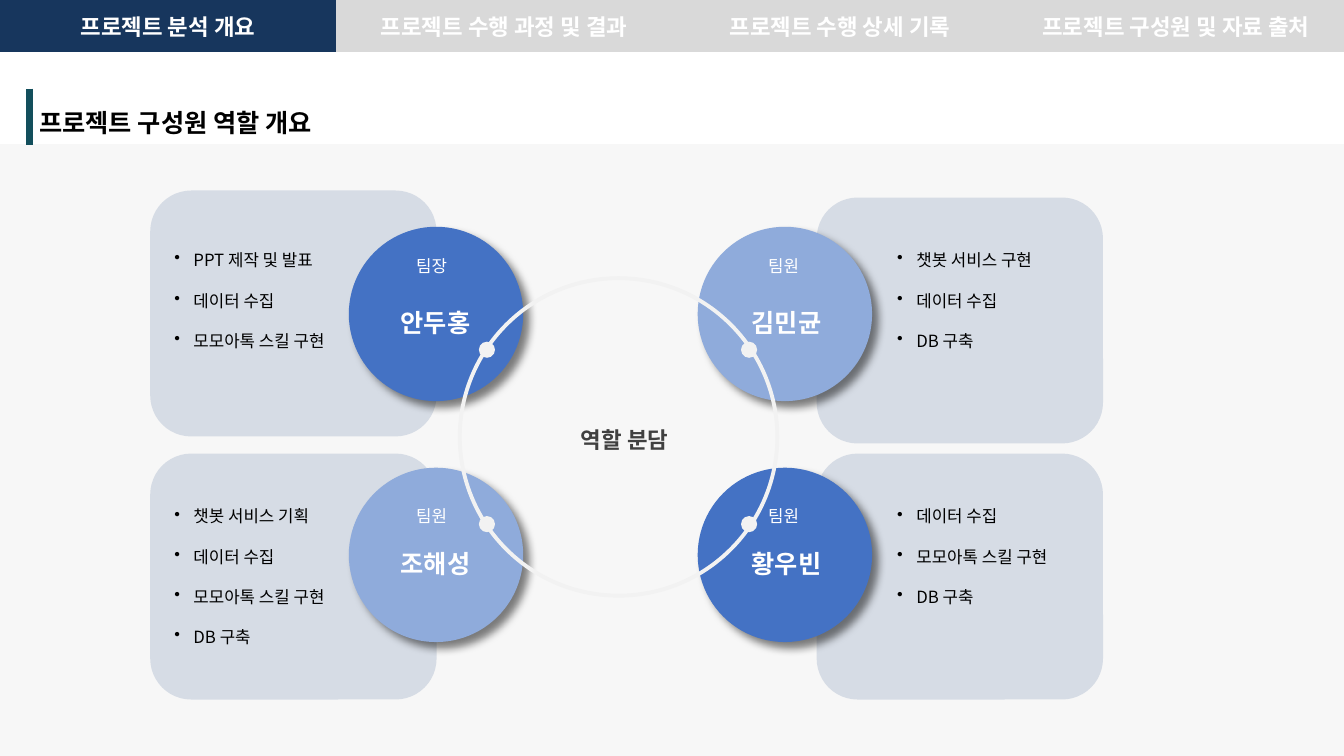
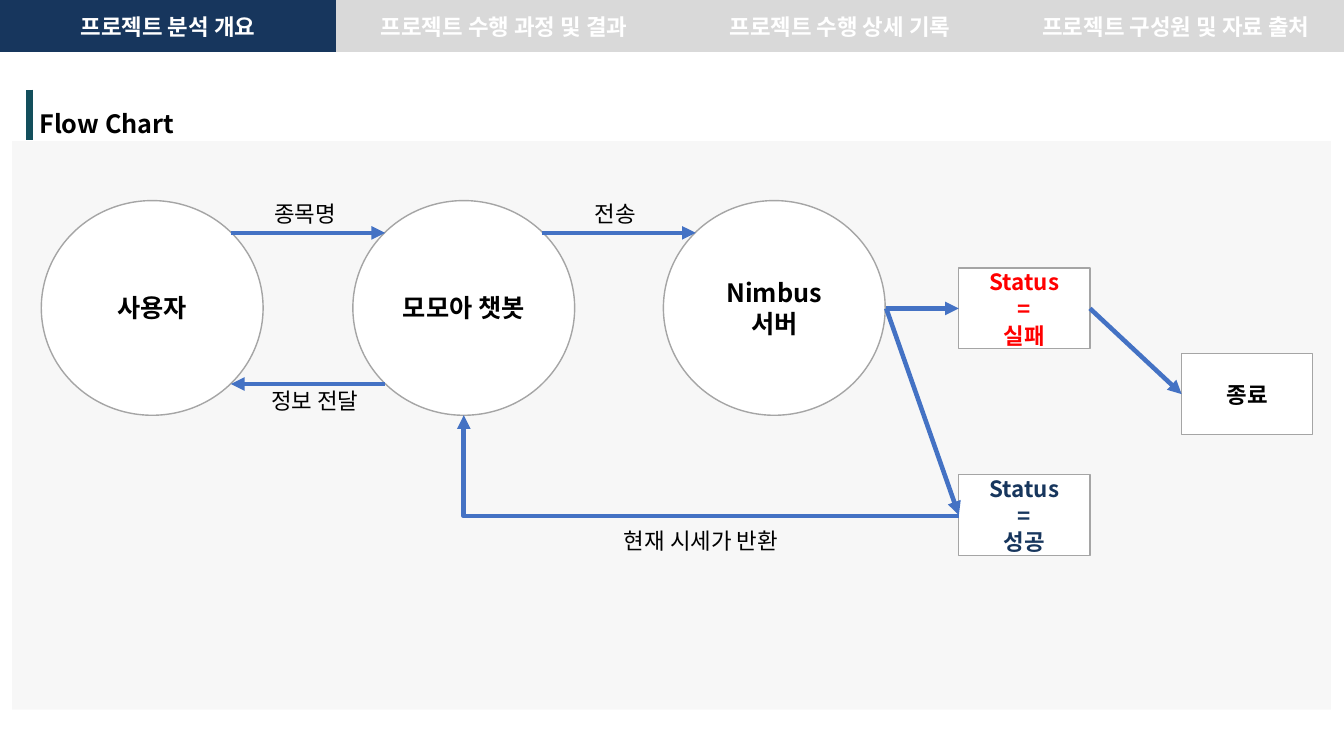
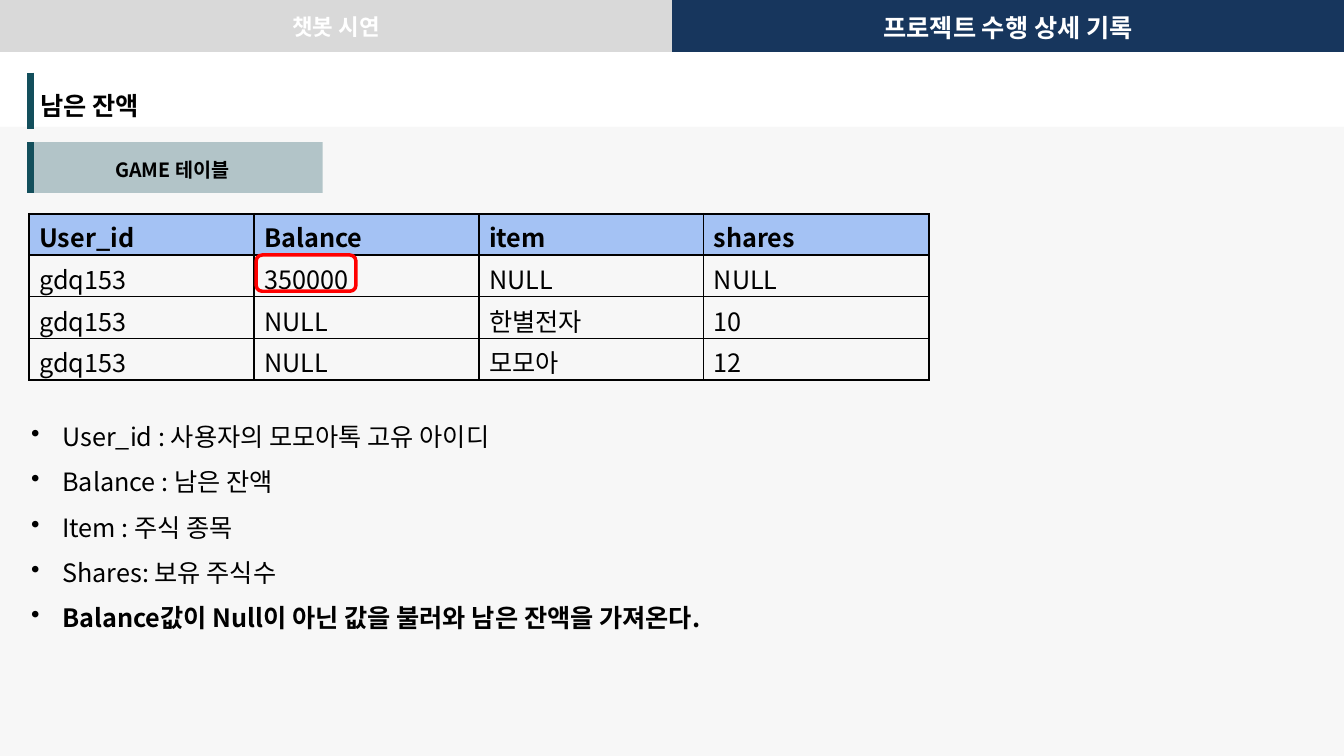
from lxml import etree
from pptx import Presentation
from pptx.dml.color import RGBColor
from pptx.enum.shapes import MSO_CONNECTOR, MSO_SHAPE
from pptx.enum.text import MSO_ANCHOR, PP_ALIGN
from pptx.oxml.ns import qn
from pptx.util import Inches, Pt

RECT, ROUND, OVAL = MSO_SHAPE.RECTANGLE, MSO_SHAPE.ROUNDED_RECTANGLE, MSO_SHAPE.OVAL
STRAIGHT, ELBOW = MSO_CONNECTOR.STRAIGHT, MSO_CONNECTOR.ELBOW
LEFT, CENTER = PP_ALIGN.LEFT, PP_ALIGN.CENTER
TOP, MIDDLE = MSO_ANCHOR.TOP, MSO_ANCHOR.MIDDLE

COLORS = {
    "navy": "17365D", "tab": "D9D9D9", "teal": "134F5C", "panel": "F2F2F2",
    "card": "D6DCE5", "blue": "4472C4", "light_blue": "8FABDB", "header": "A4C2F4",
    "outline": "A5A5A5", "dark": "404040", "red": "FF0000", "black": "000000",
    "white": "FFFFFF",
}
FONT, TAB_FONT = "Noto Sans CJK KR", "Calibri"
NO_GRID = "{2D5ABB26-0587-4C30-8999-92F81FD0307C}"
RGB = {name: RGBColor.from_string(value) for name, value in COLORS.items()}


def write_text(frame, lines, color="black", align=LEFT, spacing=None, indent=0, **font):
    """Fill a text frame; indent (inches) turns the lines into bullets."""
    frame.word_wrap = True
    for i, line in enumerate(lines):
        paragraph = frame.paragraphs[0] if i == 0 else frame.add_paragraph()
        if indent:
            props = paragraph._p.get_or_add_pPr()
            props.set("marL", str(Inches(indent)))
            props.set("indent", str(-Inches(indent)))
            etree.SubElement(props, qn("a:buChar"), char="•")
        paragraph.alignment = align
        if spacing:
            paragraph.line_spacing = spacing
        run = paragraph.add_run()
        run.text = line
        for key, value in {"name": FONT, "bold": False, **font}.items():
            setattr(run.font, key, value)
        run.font.color.rgb = RGB[color]
        latin = run._r.rPr.find(qn("a:latin"))
        latin.addnext(etree.Element(qn("a:ea"), typeface=FONT))


def add_box(slide, kind, at, fill=None, alpha=None, line=None, width=1):
    """Add a flat preset shape at (left, top, width, height) in inches."""
    box = slide.shapes.add_shape(kind, *map(Inches, at))
    box.shadow.inherit = False
    if fill:
        box.fill.solid()
        box.fill.fore_color.rgb = RGB[fill]
    else:
        box.fill.background()
    if alpha:
        color = next(box._element.spPr.iter(qn("a:srgbClr")))
        etree.SubElement(color, qn("a:alpha"), val=str(alpha * 1000))
    if line:
        box.line.color.rgb = RGB[line]
        box.line.width = Pt(width)
    else:
        box.line.fill.background()
    return box


prs = Presentation()
prs.slide_width, prs.slide_height = Inches(13.33), Inches(7.5)

# Shared frame: panel and navigation tabs
MAIN_TABS = ["프로젝트 분석 개요", "프로젝트 수행 과정 및 결과",
             "프로젝트 수행 상세 기록", "프로젝트 구성원 및 자료 출처"]
DETAIL_TABS = ["챗봇 시연", "프로젝트 수행 상세 기록"]
# panel, tabs, active tab, active size
FRAMES = [
    ((0, 1.43, 13.33, 6.07), MAIN_TABS, 0, 16),
    ((0.12, 1.4, 13.08, 5.64), MAIN_TABS, 0, 16),
    ((0, 1.26, 13.33, 6.24), DETAIL_TABS, 1, 18),
]
slides = []
for panel, tabs, active, active_size in FRAMES:
    slide = prs.slides.add_slide(prs.slide_layouts[6])
    slides.append(slide)
    add_box(slide, RECT, panel, "panel", alpha=59)
    tab_frame = slide.shapes.add_table(1, len(tabs), 0, 0, prs.slide_width, Inches(0.52))
    next(tab_frame._element.iter(qn("a:tableStyleId"))).text = NO_GRID
    for i, tab in enumerate(tabs):
        cell = tab_frame.table.cell(0, i)
        for side in ("left", "top", "right", "bottom"):
            setattr(cell, f"margin_{side}", Inches(0.04))
        cell.vertical_anchor = MIDDLE
        cell.fill.solid()
        cell.fill.fore_color.rgb = RGB["navy" if i == active else "tab"]
        write_text(cell.text_frame, [tab], "white", CENTER, name=TAB_FONT,
                   size=Pt(active_size if i == active else 16), bold=True)

roles_slide, flow_slide, balance_slide = slides

# Headings: one-cell tables with a heavy teal left border
# slide, text, left, top, width, height, size, alignment, tint, margins (l, t, r, b)
TITLE_MARGINS = (0.1, 0.14, 0.1, 0.05)
HEADINGS = [
    (roles_slide, "프로젝트 구성원 역할 개요", 0.29, 0.88, 5.48, 0.56, 18, LEFT, None, TITLE_MARGINS),
    (flow_slide, "Flow Chart", 0.29, 0.89, 5.48, 0.5, 18, LEFT, None, TITLE_MARGINS),
    (balance_slide, "남은 잔액", 0.3, 0.72, 5.48, 0.56, 18, LEFT, None, TITLE_MARGINS),
    (balance_slide, "GAME 테이블", 0.3, 1.41, 2.9, 0.48, 14, CENTER, 30, (0.1, 0.12, 0.18, 0.1)),
]
for slide, text, left, top, width, height, size, align, tint, margins in HEADINGS:
    heading = slide.shapes.add_table(1, 1, *map(Inches, (left, top, width, height)))
    next(heading._element.iter(qn("a:tableStyleId"))).text = NO_GRID
    cell = heading.table.cell(0, 0)
    for side, margin in zip(("left", "top", "right", "bottom"), margins):
        setattr(cell, f"margin_{side}", Inches(margin))
    cell.vertical_anchor = TOP
    cell_props = cell._tc.get_or_add_tcPr()
    if tint:
        cell.fill.solid()
        cell.fill.fore_color.rgb = RGB["teal"]
        tint_color = next(cell_props.iter(qn("a:srgbClr")))
        etree.SubElement(tint_color, qn("a:alpha"), val=str(tint * 1000))
    else:
        cell.fill.background()
    bar = etree.Element(qn("a:lnL"), w=str(Pt(6)))
    bar_fill = etree.SubElement(bar, qn("a:solidFill"))
    etree.SubElement(bar_fill, qn("a:srgbClr"), val=COLORS["teal"])
    cell_props.insert(0, bar)
    write_text(cell.text_frame, [text], align=align, size=Pt(size), bold=True)

# Slide 1: members around the ring
# name, role, circle colour, column, row, card top, tasks
MEMBERS = [
    ("안두홍", "팀장", "blue", 0, 0, 1.89, ["PPT 제작 및 발표", "데이터 수집", "모모아톡 스킬 구현"]),
    ("김민균", "팀원", "light_blue", 1, 0, 1.96, ["챗봇 서비스 구현", "데이터 수집", "DB 구축"]),
    ("조해성", "팀원", "light_blue", 0, 1, 4.5,
     ["챗봇 서비스 기획", "데이터 수집", "모모아톡 스킬 구현", "DB 구축"]),
    ("황우빈", "팀원", "blue", 1, 1, 4.5, ["데이터 수집", "모모아톡 스킬 구현", "DB 구축"]),
]
for name, role, color, col, row, card_top, tasks in MEMBERS:
    add_box(roles_slide, ROUND, ((1.49, 8.1)[col], card_top, 2.84, 2.44), "card")
for name, role, color, col, row, card_top, tasks in MEMBERS:
    circle = add_box(roles_slide, OVAL, (3.46 + 3.46 * col, 2.25 + 2.39 * row, 1.73, 1.73), color)
    effects = circle._element.spPr.find(qn("a:effectLst"))
    shadow = etree.SubElement(effects, qn("a:outerShdw"), blurRad=str(Pt(6)), dist=str(Pt(6)),
                              dir=str(45 * 60000), algn="tl", rotWithShape="0")
    shade = etree.SubElement(shadow, qn("a:srgbClr"), val=COLORS["black"])
    etree.SubElement(shade, qn("a:alpha"), val="50000")

add_box(roles_slide, OVAL, (4.56, 2.76, 3.15, 3.15), line="panel", width=2.75)
for name, role, color, col, row, card_top, tasks in MEMBERS:
    add_box(roles_slide, OVAL, (4.75 + 2.6 * col, 3.39 + 1.73 * row, 0.16, 0.16), "panel")
    # left, top, width, height, lines, format
    member_texts = [
        (3.84 + 3.48 * col, 2.87 + 2.39 * row, 0.96, 0.5, [name],
         {"color": "white", "align": CENTER, "spacing": 1.5, "size": Pt(18), "bold": True}),
        (4.03 + 3.49 * col, 2.49 + 2.48 * row, 0.75, 0.3, [role],
         {"color": "white", "size": Pt(12)}),
        ((1.63, 8.8)[col], 2.23 + 2.54 * row, 1.89, 0.38 + 0.4 * len(tasks), tasks,
         {"size": Pt(12), "spacing": 2.0, "indent": 0.19}),
    ]
    for *at, lines, style in member_texts:
        member_box = roles_slide.shapes.add_textbox(*map(Inches, at))
        member_box.text_frame.vertical_anchor = MIDDLE if lines == [name] else TOP
        write_text(member_box.text_frame, lines, **style)

center_label = roles_slide.shapes.add_textbox(*map(Inches, (5.6, 4.04, 1.19, 0.5)))
center_label.text_frame.vertical_anchor = MIDDLE
write_text(center_label.text_frame, ["역할 분담"], "dark", CENTER, 1.5, size=Pt(16), bold=True)

# Slide 2: flow nodes
# key, shape, left, top, width, height, lines, colour, size
NODES = [
    ("user", OVAL, 0.41, 1.99, 2.2, 2.13, ["사용자"], "black", 18),
    ("chatbot", OVAL, 3.5, 1.99, 2.2, 2.13, ["모모아 챗봇"], "black", 18),
    ("server", OVAL, 6.58, 1.99, 2.2, 2.13, ["Nimbus", "서버"], "black", 18),
    ("success", RECT, 9.51, 4.71, 1.3, 0.8, ["Status", "=", "성공"], "navy", 16),
    ("failure", RECT, 9.51, 2.66, 1.3, 0.8, ["Status", "=", "실패"], "red", 16),
    ("end", RECT, 11.72, 3.51, 1.3, 0.8, ["종료"], "black", 16),
]
nodes = {}
for key, kind, left, top, width, height, lines, color, size in NODES:
    node = add_box(flow_slide, kind, (left, top, width, height), "white", line="outline")
    node.text_frame.margin_top = node.text_frame.margin_bottom = 0
    node.text_frame.vertical_anchor = MIDDLE
    write_text(node.text_frame, lines, color, CENTER, size=Pt(size), bold=True)
    nodes[key] = node

# Arrows: kind, start, end, rectangle side joined at start, at end
ARROWS = [
    (STRAIGHT, (2.29, 2.31), (3.82, 2.31), None, None),
    (STRAIGHT, (5.38, 2.31), (6.9, 2.31), None, None),
    (STRAIGHT, (3.82, 3.81), (2.29, 3.81), None, None),
    (STRAIGHT, (8.79, 3.06), (9.51, 3.06), None, ("failure", 1)),
    (STRAIGHT, (8.79, 3.06), (9.51, 5.11), None, ("success", 1)),
    (STRAIGHT, (10.81, 3.06), (11.72, 3.91), ("failure", 3), ("end", 1)),
    (ELBOW, (9.51, 5.12), (4.6, 4.12), None, None),
]
for kind, start, end, start_side, end_side in ARROWS:
    arrow = flow_slide.shapes.add_connector(kind, *map(Inches, start + end))
    if start_side:
        arrow.begin_connect(nodes[start_side[0]], start_side[1])
    if end_side:
        arrow.end_connect(nodes[end_side[0]], end_side[1])
    arrow.line.color.rgb = RGB["blue"]
    arrow.line.width = Pt(3.25)
    arrow_props = arrow._element.spPr
    etree.SubElement(arrow_props.find(qn("a:ln")), qn("a:tailEnd"), type="triangle")
    etree.SubElement(arrow_props, qn("a:effectLst"))
    if kind == ELBOW:
        arrow_props.find(qn("a:prstGeom")).set("prst", "bentConnector2")

ARROW_LABELS = [("종목명", 2.62, 1.94, 0.88), ("전송", 5.8, 1.94, 0.65),
                ("정보 전달", 2.59, 3.79, 1.18), ("현재 시세가 반환", 6.09, 5.18, 1.93)]
for text, left, top, width in ARROW_LABELS:
    arrow_label = flow_slide.shapes.add_textbox(*map(Inches, (left, top, width, 0.37)))
    write_text(arrow_label.text_frame, [text], size=Pt(16))

# Slide 3: game table, with heavier outer and header borders
GAME_ROWS = [
    ["User_id", "Balance", "item", "shares"],
    ["gdq153", "350000", "NULL", "NULL"],
    ["gdq153", "NULL", "한별전자", "10"],
    ["gdq153", "NULL", "모모아", "12"],
]
last = len(GAME_ROWS) - 1
game_frame = balance_slide.shapes.add_table(4, 4, *map(Inches, (0.29, 2.12, 8.92, 1.6)))
next(game_frame._element.iter(qn("a:tableStyleId"))).text = NO_GRID
for r, values in enumerate(GAME_ROWS):
    for c, value in enumerate(values):
        cell = game_frame.table.cell(r, c)
        cell.margin_top, cell.margin_bottom = Inches(0.05), 0
        if r == 0:
            cell.fill.solid()
            cell.fill.fore_color.rgb = RGB["header"]
        else:
            cell.fill.background()
        write_text(cell.text_frame, [value], size=Pt(18), bold=r == 0)
        heavy = {"lnL": c == 0, "lnR": c == last, "lnT": r < 2, "lnB": r in (0, last)}
        for i, (edge, is_heavy) in enumerate(heavy.items()):
            border = etree.Element(qn(f"a:{edge}"), w=str(Pt(1.5 if is_heavy else 1)))
            paint = etree.SubElement(border, qn("a:solidFill"))
            etree.SubElement(paint, qn("a:srgbClr"), val=COLORS["black"])
            cell._tc.get_or_add_tcPr().insert(i, border)
add_box(balance_slide, ROUND, (2.54, 2.53, 0.99, 0.36), line="red", width=2.5)

# Column notes
NOTES = ["User_id : 사용자의 모모아톡 고유 아이디", "Balance : 남은 잔액", "Item : 주식 종목",
         "Shares: 보유 주식수", "Balance값이 Null이 아닌 값을 불러와 남은 잔액을 가져온다."]
column_notes = balance_slide.shapes.add_textbox(*map(Inches, (0.21, 3.98, 8.91, 2.4)))
write_text(column_notes.text_frame, NOTES, spacing=1.5, indent=0.31, size=Pt(18))
column_notes.text_frame.paragraphs[-1].runs[0].font.bold = True

prs.save("out.pptx")
